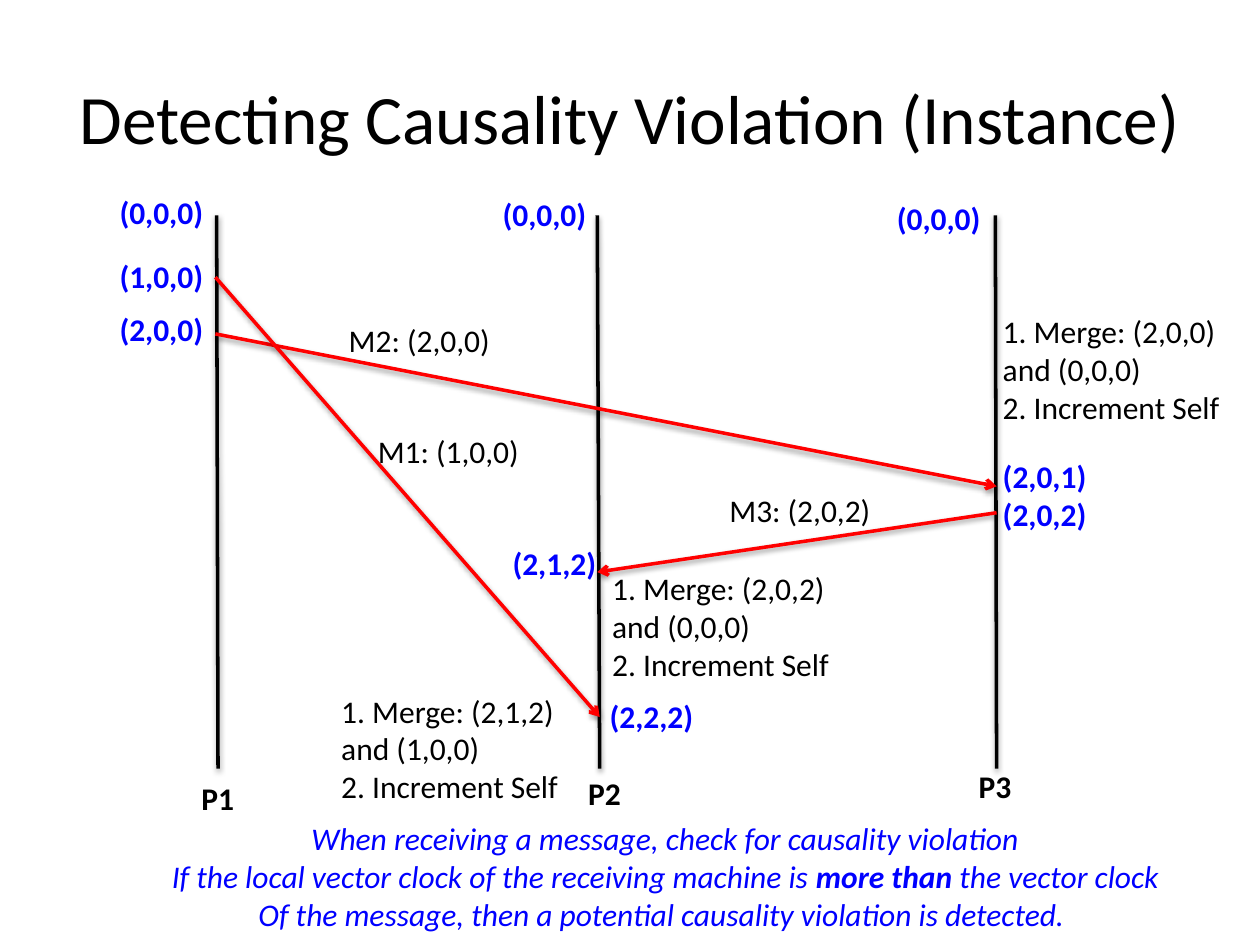
"""Build a slide showing how vector clocks reveal a causality violation."""
from lxml.etree import SubElement
from pptx import Presentation
from pptx.dml.color import RGBColor
from pptx.enum.shapes import MSO_CONNECTOR
from pptx.enum.text import MSO_ANCHOR, MSO_AUTO_SIZE, PP_ALIGN
from pptx.oxml.ns import qn
from pptx.util import Pt

COLORS = {"text": "000000", "clock": "0000FF", "message": "FF0000"}
FONT = "Calibri"
TITLE = "Detecting Causality Violation (Instance)"

PROCESSES = [
    ("P1", (108, 441.4), (123.8, 124.6)),
    ("P2", (329, 438.5), (341.3, 342.7)),
    ("P3", (552.2, 434.9), (568.8, 569.5)),
]
TIMELINE_TOP, TIMELINE_BOTTOM = 123.1, 439.2

MESSAGES = [
    ("M2: (2,0,0)", (192.2, 180), (123.1, 190.8), (569.5, 277.9)),
    ("M3: (2,0,2)", (409.7, 277.2), (569.5, 293), (341.3, 326.9)),
    ("M1: (1,0,0)", (208.8, 243.4), (123.1, 158.4), (342.7, 409.7)),
]
CLOCKS = [
    ("(0,0,0)", (61.2, 106.6)),
    ("(0,0,0)", (280.1, 108)),
    ("(0,0,0)", (505.4, 110.2)),
    ("(1,0,0)", (61.2, 143.3)),
    ("(2,0,0)", (61.2, 173.5)),
    ("(2,0,1)", (565.9, 257.8)),
    ("(2,0,2)", (565.9, 279.4)),
    ("(2,1,2)", (285.8, 307.4)),
    ("(2,2,2)", (341.3, 394.6)),
]
MERGES = [
    ("(2,0,0)", "(0,0,0)", (565.9, 175)),
    ("(2,0,2)", "(0,0,0)", (342.7, 321.8)),
    ("(2,1,2)", "(1,0,0)", (187.9, 391.7)),
]
RULE = [
    [("When receiving a message, check for causality violation", False)],
    [
        ("If the local vector clock of the receiving machine is ", False),
        ("more than ", True),
        ("the vector clock", False),
    ],
    [("Of the message, then a potential causality violation is detected. ", False)],
]
RULE_AT = (86.4, 464.4)
WIDTHS = {"process": 34, "clock": 63, "message": 96, "merge": 142, "rule": 587.5}
LINE_HEIGHT, INSETS = 21.8, 7.2


def add_text(slide, at, width, lines, color="text", size=18, italic=False, align=PP_ALIGN.LEFT):
    height = LINE_HEIGHT * len(lines) + INSETS
    box = slide.shapes.add_textbox(*map(Pt, (*at, width, height)))
    frame = box.text_frame
    frame.word_wrap = False
    frame.auto_size = MSO_AUTO_SIZE.SHAPE_TO_FIT_TEXT
    for index, line in enumerate(lines):
        paragraph = frame.add_paragraph() if index else frame.paragraphs[0]
        paragraph.alignment = align
        font = paragraph.font
        font.name, font.size, font.italic = FONT, Pt(size), italic
        font.color.rgb = RGBColor.from_string(COLORS[color])
        for text, bold in line:
            run = paragraph.add_run()
            run.text, run.font.bold = text, bold
    return box


def add_line(slide, start, end, color, arrow=False):
    connector = slide.shapes.add_connector(MSO_CONNECTOR.STRAIGHT, *map(Pt, (*start, *end)))
    connector.line.width = Pt(2)
    connector.line.color.rgb = RGBColor.from_string(COLORS[color])
    properties = connector._element.spPr
    if arrow:
        SubElement(properties.find(qn("a:ln")), qn("a:tailEnd"), type="arrow")
    effects = SubElement(properties, qn("a:effectLst"))
    shadow = SubElement(effects, qn("a:outerShdw"), blurRad=str(Pt(3.1)), dist=str(Pt(1.6)),
                        dir="5400000", rotWithShape="0")
    shade = SubElement(shadow, qn("a:srgbClr"), val=COLORS["text"])
    SubElement(shade, qn("a:alpha"), val="38000")


def main():
    presentation = Presentation()
    presentation.slide_width, presentation.slide_height = Pt(720), Pt(540)
    slide = presentation.slides.add_slide(presentation.slide_layouts[6])

    title = add_text(slide, (36, 21.6), 648, [[(TITLE, False)]], size=39.6, align=PP_ALIGN.CENTER)
    title.text_frame.auto_size = MSO_AUTO_SIZE.NONE
    title.text_frame.word_wrap = True
    title.text_frame.vertical_anchor = MSO_ANCHOR.MIDDLE
    title.height = Pt(90)

    for name, at, (top_x, bottom_x) in PROCESSES:
        add_line(slide, (top_x, TIMELINE_TOP), (bottom_x, TIMELINE_BOTTOM), "text")
        add_text(slide, at, WIDTHS["process"], [[(name, True)]])
    for label, at, sent, received in MESSAGES:
        add_line(slide, sent, received, "message", arrow=True)
        add_text(slide, at, WIDTHS["message"], [[(label, False)]])
    for clock, at in CLOCKS:
        add_text(slide, at, WIDTHS["clock"], [[(clock, True)]], "clock")
    for incoming, local, at in MERGES:
        steps = (f"1. Merge: {incoming}", f"and {local}", "2. Increment Self")
        add_text(slide, at, WIDTHS["merge"], [[(step, False)] for step in steps])
    add_text(slide, RULE_AT, WIDTHS["rule"], RULE, "clock", italic=True, align=PP_ALIGN.CENTER)

    presentation.save("out.pptx")


if __name__ == "__main__":
    main()
